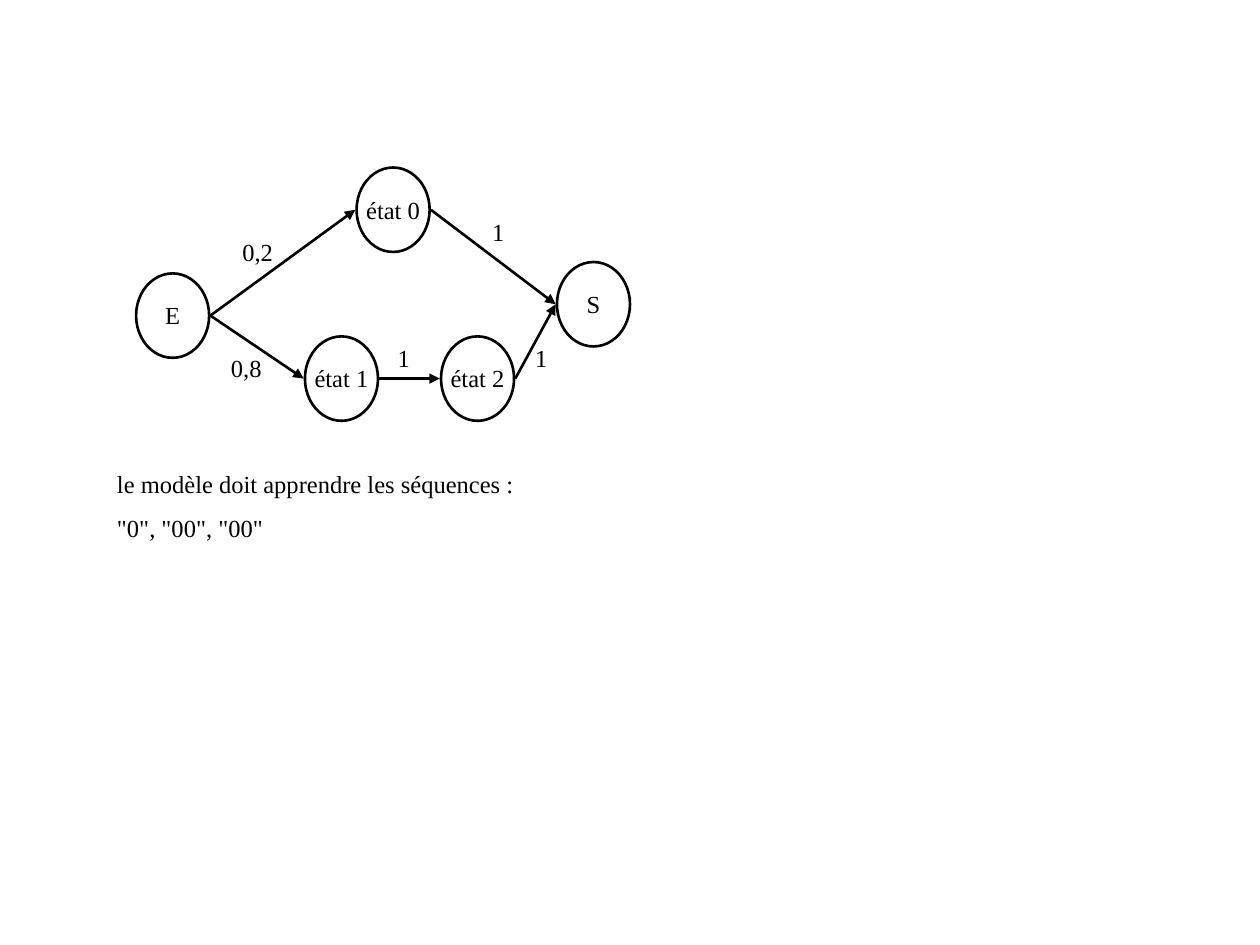
from lxml import etree
from pptx import Presentation
from pptx.dml.color import RGBColor
from pptx.enum.shapes import MSO_CONNECTOR, MSO_SHAPE
from pptx.enum.text import MSO_AUTO_SIZE, PP_ALIGN
from pptx.oxml.ns import qn
from pptx.util import Inches, Pt

OVAL = MSO_SHAPE.OVAL
STRAIGHT = MSO_CONNECTOR.STRAIGHT
CENTER, LEFT = PP_ALIGN.CENTER, PP_ALIGN.LEFT
GROW = MSO_AUTO_SIZE.SHAPE_TO_FIT_TEXT
BLACK = "000000"
NODE_WIDTH, NODE_HEIGHT = 0.58, 0.67
LABEL_WIDTH, LABEL_HEIGHT = 0.75, 0.34
GAP = 0.01  # between a node and the end of an arrow


def color(hex_string):
    return RGBColor.from_string(hex_string)


def add_text(shapes, lines, left, top, width, height, alignment):
    box = shapes.add_textbox(Inches(left), Inches(top), Inches(width), Inches(height))
    frame = box.text_frame
    frame.word_wrap = True
    frame.auto_size = GROW
    frame.text = "\n".join(lines)
    for index, para in enumerate(frame.paragraphs):
        para.alignment = alignment
        para.space_before = Pt(8.8 if index else 0)
        para.font.name = "Times New Roman"
        para.font.size = Pt(14)
        para.font.color.rgb = color(BLACK)


deck = Presentation()
deck.slide_width, deck.slide_height = Inches(10), Inches(7.5)
page = deck.slides.add_slide(deck.slide_layouts[6])
diagram = page.shapes.add_group_shape().shapes

# States: name -> left, top
nodes = {
    "E": (1.08, 2.17),
    "état 0": (2.83, 1.33),
    "état 1": (2.42, 2.67),
    "état 2": (3.5, 2.67),
    "S": (4.42, 2.08),
}
for name, (left, top) in nodes.items():
    node = diagram.add_shape(
        OVAL, Inches(left), Inches(top), Inches(NODE_WIDTH), Inches(NODE_HEIGHT))
    node.shadow.inherit = False
    node.fill.background()
    node.line.color.rgb = color(BLACK)
    node.line.width = Pt(1.5)
    add_text(diagram, [name], left + (NODE_WIDTH - LABEL_WIDTH) / 2,
             top + (NODE_HEIGHT - LABEL_HEIGHT) / 2, LABEL_WIDTH, LABEL_HEIGHT, CENTER)

# Transitions: source, target, probability, left and top of its label
transitions = [
    ("E", "état 0", "0,2", 1.67, 1.83),
    ("E", "état 1", "0,8", 1.58, 2.75),
    ("état 1", "état 2", "1", 2.83, 2.67),
    ("état 0", "S", "1", 3.58, 1.67),
    ("état 2", "S", "1", 3.92, 2.67),
]
for source, target, probability, label_left, label_top in transitions:
    source_left, source_top = nodes[source]
    target_left, target_top = nodes[target]
    arrow = diagram.add_connector(
        STRAIGHT,
        Inches(source_left + NODE_WIDTH + GAP), Inches(source_top + NODE_HEIGHT / 2),
        Inches(target_left - GAP), Inches(target_top + NODE_HEIGHT / 2))
    arrow.line.color.rgb = color(BLACK)
    arrow.line.width = Pt(1.5)
    etree.SubElement(arrow.line._get_or_add_ln(), qn("a:tailEnd"), type="triangle")
    etree.SubElement(arrow._element.spPr, qn("a:effectLst"))
    add_text(diagram, [probability], label_left, label_top,
             LABEL_WIDTH, LABEL_HEIGHT, CENTER)

add_text(page.shapes, ["le modèle doit apprendre les séquences :", '"0", "00", "00"'],
         0.83, 3.67, 3.58, 0.69, LEFT)

deck.save("out.pptx")
